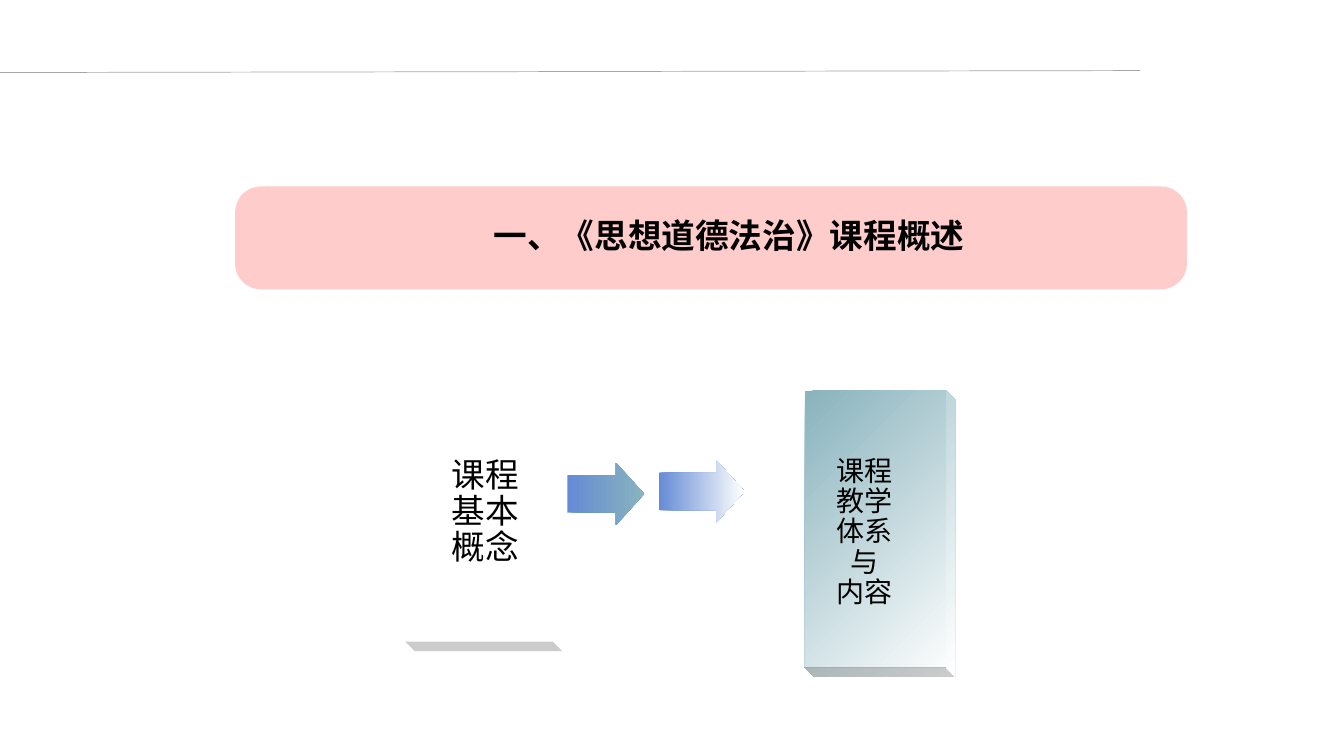
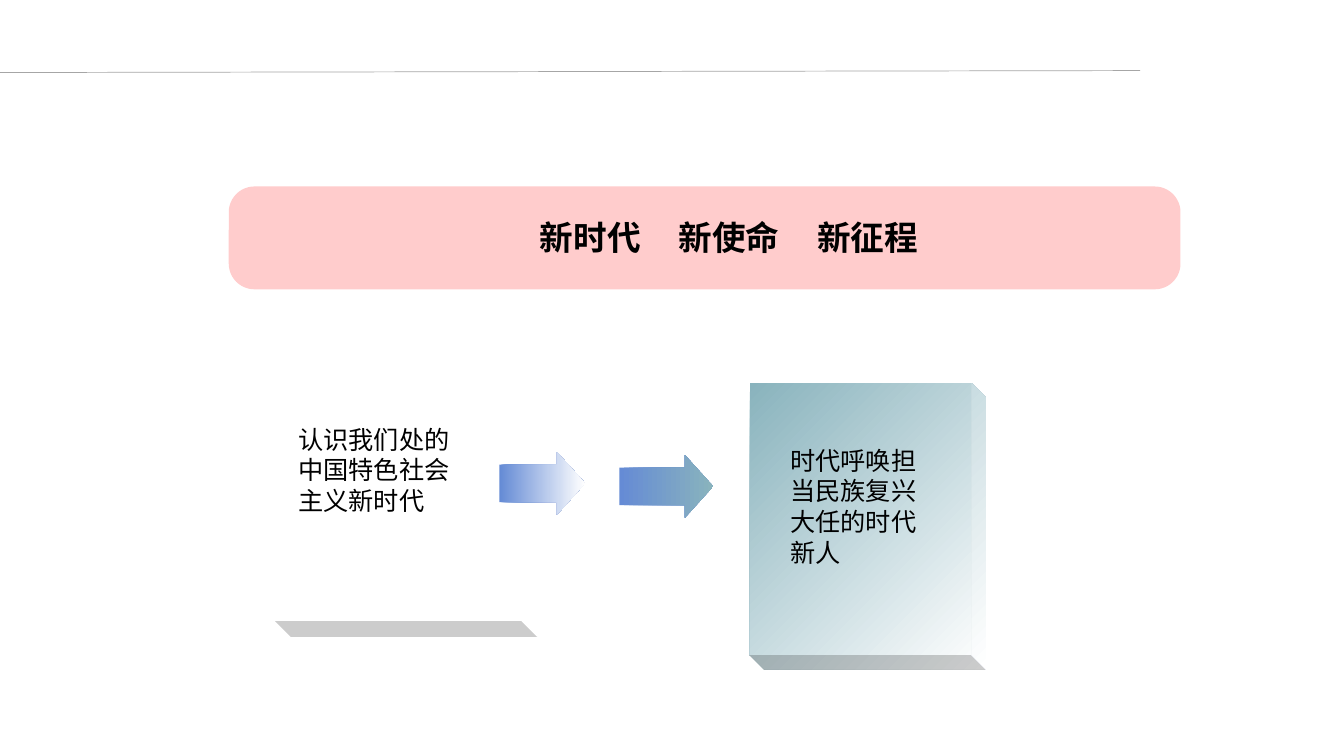
from dataclasses import dataclass

from pptx import Presentation
from pptx.dml.color import RGBColor
from pptx.enum.shapes import MSO_CONNECTOR, MSO_SHAPE
from pptx.enum.text import MSO_ANCHOR, PP_ALIGN
from pptx.oxml.ns import qn
from pptx.util import Inches, Pt

ROUNDED, CUBE, ARROW = MSO_SHAPE.ROUNDED_RECTANGLE, MSO_SHAPE.CUBE, MSO_SHAPE.RIGHT_ARROW
STRAIGHT = MSO_CONNECTOR.STRAIGHT
MIDDLE, LEFT, CENTER = MSO_ANCHOR.MIDDLE, PP_ALIGN.LEFT, PP_ALIGN.CENTER

# The slide is a grid of 160 columns by 90 rows
SLIDE_WIDTH, SLIDE_HEIGHT = Inches(13.33), Inches(7.5)
COLUMN, ROW = SLIDE_WIDTH / 160, SLIDE_HEIGHT / 90

PINK, WHITE, BLACK, GREY = "FFCCCC", "FFFFFF", "000000", "A6A6A6"
BLUE, TEAL = "658BD5", "89B3BD"
LATIN_FONT, CHINESE_FONT = "Arial", "Noto Sans CJK SC"
TITLE_SIZE, TITLE_GAP_SIZE = 24, 27


@dataclass
class Box:
    column: float
    row: float
    columns: float
    rows: float

    def inside(self, part):
        """Box of a part whose position is relative to this box."""
        return Box(self.column + part.column, self.row + part.row, part.columns, part.rows)

    def lengths(self):
        return (round(self.column * COLUMN), round(self.row * ROW),
                round(self.columns * COLUMN), round(self.rows * ROW))


@dataclass
class Label:
    box: Box
    paragraphs: list
    size: float
    pitch: float
    font: str = LATIN_FONT
    alignment: PP_ALIGN = CENTER


TITLE_BOX = Box(33.5, 24.24, 106.56, 7.56)


def color(value):
    return RGBColor.from_string(value)


def paint(shape, colors, angle=0):
    """Solid fill for one colour, linear gradient for two."""
    if len(colors) == 1:
        shape.fill.solid()
        shape.fill.fore_color.rgb = color(colors[0])
    else:
        shape.fill.gradient()
        shape.fill.gradient_angle = angle
        for stop, value in zip(shape.fill.gradient_stops, colors):
            stop.color.rgb = color(value)


def add_shape(slide, kind, box, adjustments, colors, angle=0):
    shape = slide.shapes.add_shape(kind, *box.lengths())
    for index, value in enumerate(adjustments):
        shape.adjustments[index] = value
    shape.shadow.inherit = False
    shape.line.fill.background()
    paint(shape, colors, angle)
    return shape


def add_run(paragraph, text, size, font=LATIN_FONT, bold=False):
    run = paragraph.add_run()
    run.text = text
    run.font.size = Pt(size)
    run.font.name = font
    run.font.bold = bold
    run.font.color.rgb = color(BLACK)
    east_asian = run.font._element.makeelement(qn("a:ea"), {"typeface": CHINESE_FONT})
    run.font._element.find(qn("a:latin")).addnext(east_asian)


def prepare_layout(presentation):
    """Title position shared by the slides."""
    layout = presentation.slide_layouts[5]
    title = layout.placeholders[0]
    title.left, title.top, title.width, title.height = TITLE_BOX.lengths()
    title.text_frame.vertical_anchor = MIDDLE
    return layout


def add_header(slide, banner_column, title_parts):
    # Thin rule across the top
    ends = (0, 8.64), (135.72, 8.4)
    points = [round(length) for x, y in ends for length in (x * COLUMN, y * ROW)]
    rule = slide.shapes.add_connector(STRAIGHT, *points)
    rule.line.color.rgb = color(GREY)
    rule.line.width = Pt(0.5)
    properties = rule._element.spPr
    properties.append(properties.makeelement(qn("a:effectLst"), {}))

    # Banner goes behind the title
    title = slide.shapes.title
    banner = add_shape(slide, ROUNDED, Box(banner_column, 22.2, 113.3, 12.24), [0.25], [PINK])
    title._element.addprevious(banner._element)

    paragraph = title.text_frame.paragraphs[0]
    paragraph.alignment = CENTER
    for index, part in enumerate(title_parts):
        if index:
            add_run(paragraph, "　", TITLE_GAP_SIZE, bold=True)
        add_run(paragraph, part, TITLE_SIZE, bold=True)


def add_card(slide, box, depth, colors, label):
    """Cube turned a quarter, with its label; box is the area seen on the slide."""
    cube = add_shape(slide, CUBE, box, [depth], colors, 45)
    left, top, width, height = box.lengths()
    cube.left, cube.top = left + (width - height) // 2, top + (height - width) // 2
    cube.width, cube.height = height, width
    cube.rotation = 90

    text_box = slide.shapes.add_textbox(*box.inside(label.box).lengths())
    frame = text_box.text_frame
    frame.word_wrap = True
    frame.vertical_anchor = MIDDLE
    frame.margin_left = frame.margin_right = Inches(0.02)
    frame.margin_top = frame.margin_bottom = Inches(0.01)
    for index, text in enumerate(label.paragraphs):
        paragraph = frame.add_paragraph() if index else frame.paragraphs[0]
        paragraph.alignment = label.alignment
        paragraph.line_spacing = Pt(label.pitch)
        add_run(paragraph, text, label.size, label.font)


def add_arrow(slide, column, row, columns, end_color):
    add_shape(slide, ARROW, Box(column, row, columns, 7.44), [0.6, 0.45], [BLUE, end_color])


def add_topic_slide(presentation, layout, banner_column, title_parts, cards, arrows):
    slide = presentation.slides.add_slide(layout)
    add_header(slide, banner_column, title_parts)
    styles = (0.06, [WHITE]), (0.06, [TEAL, WHITE])
    for (depth, colors), (box, label) in zip(styles, cards):
        add_card(slide, box, depth, colors, label)
    for arrow in arrows:
        add_arrow(slide, *arrow)


def main():
    presentation = Presentation()
    presentation.slide_width, presentation.slide_height = SLIDE_WIDTH, SLIDE_HEIGHT
    layout = prepare_layout(presentation)

    # Course overview
    add_topic_slide(
        presentation, layout, 28, ["一、《思想道德法治》课程概述"],
        [(Box(48.24, 43.2, 18.72, 34.32),
          Label(Box(5.28, 7.2, 8.52, 21.12), ["课程基本概念"], 24, 26)),
         (Box(95.82, 46.5, 17.88, 34.08),
          Label(Box(2.82, 4.74, 8.52, 24.24), ["课程教学体系与", "内容"], 20, 21.6))],
        [(78.42, 54.78, 10.2, WHITE), (67.56, 55.08, 9.12, TEAL)])

    # New era
    add_topic_slide(
        presentation, layout, 27.24, ["新时代", "新使命", "新征程"],
        [(Box(32.76, 41.52, 31.2, 34.32),
          Label(Box(2.52, 3.84, 19.08, 21.12), ["认识我们处的中国特色社会主义新时代"],
                18, 21.8, CHINESE_FONT, LEFT)),
         (Box(89.28, 45.6, 28.08, 34.08),
          Label(Box(4.56, 2.52, 17.28, 24.24), ["时代呼唤担当民族复兴大任的时代新人"],
                18, 21.8, CHINESE_FONT, LEFT))],
        [(73.74, 54.18, 11.16, TEAL), (59.46, 53.82, 10.2, WHITE)])

    presentation.save("out.pptx")


if __name__ == "__main__":
    main()
